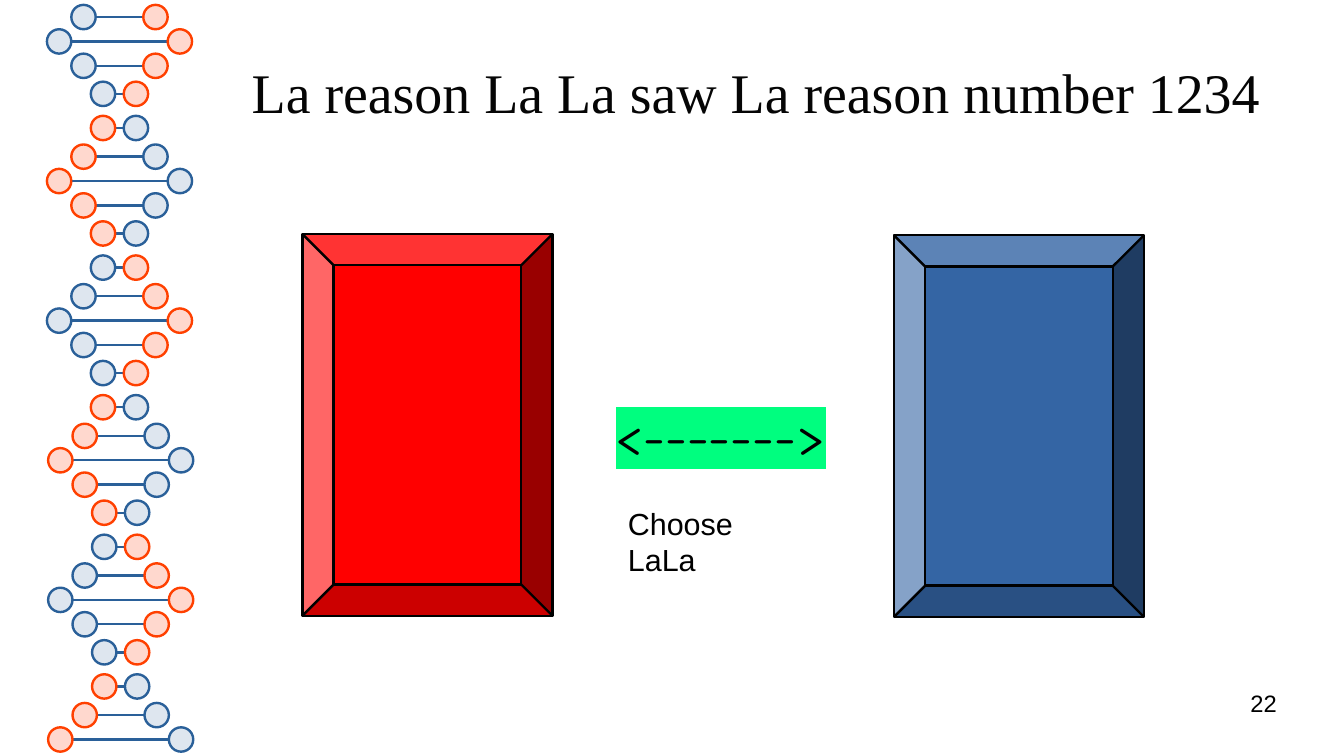
from itertools import product

from lxml.etree import SubElement
from pptx import Presentation
from pptx.dml.color import RGBColor
from pptx.enum.shapes import MSO_CONNECTOR as Connector, MSO_SHAPE as Shape
from pptx.enum.text import MSO_ANCHOR as Anchor, PP_ALIGN as Align
from pptx.oxml import parse_xml
from pptx.oxml.ns import nsdecls, qn
from pptx.util import Inches, Pt

COLORS = {
    "ink": "000000", "title": "050505", "red": "FF0000", "blue": "3465A4",
    "highlight": "00FE7F", "strand": "2A6099", "strand_fill": "DEE6EF",
    "warm": "FF4000", "warm_fill": "FFD8CE",
}
BEAD = 0.2
HELIX_CENTER = 1.08 - BEAD / 2
TURN_TOP, TURN_HEIGHT = 0.04, 1.145
TURN_STEPS = [(0, 0.295), (0.2, 0.495), (0.4, 0.295), (0.63, 0.135), (0.91, 0.135)]
RUNG_COUNT = 27


class SlideBuilder:
    """Draw styled elements on the current slide."""

    def __init__(self, slide):
        self.slide = slide
        self.line_width = Pt(1.42)

    def color(self, name):
        return RGBColor.from_string(COLORS[name])

    def shape(self, kind, left, top, width, height, fill, line):
        shape = self.slide.shapes.add_shape(
            kind, Inches(left), Inches(top), Inches(width), Inches(height))
        shape.shadow.inherit = False
        shape.fill.solid()
        shape.fill.fore_color.rgb = self.color(fill)
        shape.line.color.rgb = self.color(line)
        shape.line.width = self.line_width
        return shape

    def rung(self, start, end, y):
        line = self.slide.shapes.add_connector(
            Connector.STRAIGHT, Inches(start), Inches(y), Inches(end), Inches(y))
        line.line.color.rgb = self.color("strand")
        line.line.width = self.line_width
        SubElement(line._element.spPr, qn("a:effectLst"))

    def text(self, text, left, top, width, height, size, font="Arial", color="ink",
             align=Align.LEFT, anchor=Anchor.TOP, inset=(0, 0), highlight=None):
        box = self.slide.shapes.add_textbox(
            Inches(left), Inches(top), Inches(width), Inches(height))
        frame = box.text_frame
        frame.word_wrap = True
        frame.vertical_anchor = anchor
        frame.margin_left = frame.margin_right = Inches(inset[0])
        frame.margin_top = frame.margin_bottom = Inches(inset[1])
        para = frame.paragraphs[0]
        para.alignment = align
        span = para.add_run()
        span.text = text
        span.font.size = Pt(size)
        span.font.name = font
        span.font.color.rgb = self.color(color)
        if highlight:
            fill = span._r.get_or_add_rPr().find(qn("a:solidFill"))
            fill.addnext(parse_xml(
                f'<a:highlight {nsdecls("a")}>'
                f'<a:srgbClr val="{COLORS[highlight]}"/></a:highlight>'))

    def helix(self):
        rungs = []
        for turn, step in list(product(range(6), range(5)))[:RUNG_COUNT]:
            offset, reach = TURN_STEPS[step]
            center = HELIX_CENTER + (0.01 if turn >= 3 else 0)
            top = TURN_TOP + turn * TURN_HEIGHT + offset
            sides = ["strand", "warm"]
            if (turn + (step == 4)) % 2:
                sides.reverse()
            rungs.append((center - reach, center + reach, top, sides))
        for left, right, top, sides in rungs:
            self.rung(left + BEAD / 2, right - BEAD / 2, top + BEAD / 2)
        for left, right, top, sides in rungs:
            for middle, side in zip((left, right), sides):
                self.shape(Shape.OVAL, middle - BEAD / 2, top, BEAD, BEAD,
                           side + "_fill", side)


def main():
    deck = Presentation()
    deck.slide_width, deck.slide_height = Inches(11.02), Inches(6.2)
    page = SlideBuilder(deck.slides.add_slide(deck.slide_layouts[6]))
    page.helix()
    page.text("La reason La La saw La reason number 1234", 1.77, 0.24, 8.86, 1.02, 33,
              font="Times New Roman", color="title", align=Align.CENTER,
              anchor=Anchor.MIDDLE)
    page.text("<------->", 4.69, 2.91, 2.44, 1.3, 32, font="Comic Neue",
              align=Align.CENTER, anchor=Anchor.MIDDLE, highlight="highlight")
    page.shape(Shape.BEVEL, 2.48, 1.92, 2.05, 3.13, "red", "ink")
    page.shape(Shape.BEVEL, 7.33, 1.93, 2.05, 3.13, "blue", "ink")
    page.text("Choose LaLa", 5.05, 4.09, 1.6, 1.18, 18, inset=(0.1, 0.05))
    page.text("22", 7.9, 5.65, 2.57, 0.43, 14, align=Align.RIGHT)
    deck.save("out.pptx")


if __name__ == "__main__":
    main()
